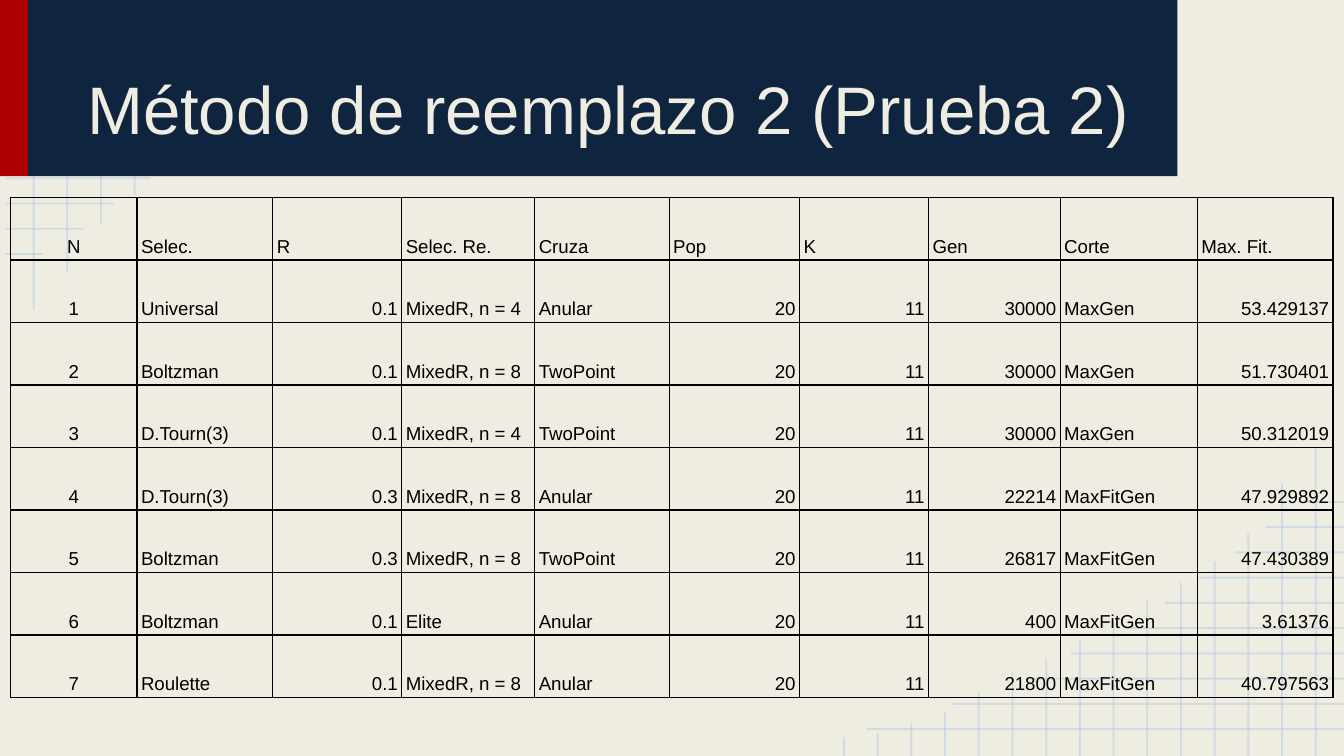
from lxml import etree
from pptx import Presentation
from pptx.dml.color import RGBColor
from pptx.enum.shapes import MSO_CONNECTOR, MSO_SHAPE
from pptx.enum.text import MSO_ANCHOR as Anchor, PP_ALIGN as Align
from pptx.oxml import parse_xml
from pptx.oxml.ns import nsdecls, qn
from pptx.util import Inches, Pt

CREAM = RGBColor(0xEF, 0xED, 0xE2)
GRID_BLUE = RGBColor(0xB7, 0xCC, 0xE4)
RED = RGBColor(0xAB, 0x01, 0x01)
NAVY = RGBColor(0x0F, 0x24, 0x3E)
BLACK = RGBColor(0x00, 0x00, 0x00)

SLIDE_WIDTH = 10
SLIDE_HEIGHT = SLIDE_WIDTH * 9 / 16
GRID_MARGIN = 0.04
ROW_ENDS = [3.59, 2.95, 2.41, 2.07, 1.67, 1.37, 1.12, 0.85, 0.62, 0.32]
COLUMN_ENDS = [2.3, 2.03, 1.66, 1.45, 1.29, 1.16, 0.99, 0.86,
               0.72, 0.62, 0.48, 0.33, 0.24, 0.17, 0.14]
ROW_GAP = 1.69 / (len(ROW_ENDS) - 1)
COLUMN_GAP = 3.51 / (len(COLUMN_ENDS) - 1)

COLUMN_WIDTHS = [0.94, 1.01, 0.96, 0.99, 1, 0.97, 0.96, 0.98, 1.02, 1.01]
TABLE_HEIGHT = 3.72
NUMBER_COLUMNS = {2, 5, 6, 7, 9}
RESULTS = [
    ["N", "Selec.", "R", "Selec. Re.", "Cruza", "Pop", "K", "Gen", "Corte", "Max. Fit."],
    ["1", "Universal", "0.1", "MixedR, n = 4", "Anular", "20", "11", "30000", "MaxGen", "53.429137"],
    ["2", "Boltzman", "0.1", "MixedR, n = 8", "TwoPoint", "20", "11", "30000", "MaxGen", "51.730401"],
    ["3", "D.Tourn(3)", "0.1", "MixedR, n = 4", "TwoPoint", "20", "11", "30000", "MaxGen", "50.312019"],
    ["4", "D.Tourn(3)", "0.3", "MixedR, n = 8", "Anular", "20", "11", "22214", "MaxFitGen", "47.929892"],
    ["5", "Boltzman", "0.3", "MixedR, n = 8", "TwoPoint", "20", "11", "26817", "MaxFitGen", "47.430389"],
    ["6", "Boltzman", "0.1", "Elite", "Anular", "20", "11", "400", "MaxFitGen", "3.61376"],
    ["7", "Roulette", "0.1", "MixedR, n = 8", "Anular", "20", "11", "21800", "MaxFitGen", "40.797563"],
]
CELL_FORMAT = {
    "vertical_anchor": Anchor.BOTTOM,
    "margin_left": Inches(0.03), "margin_right": Inches(0.03),
    "margin_top": Inches(0.02), "margin_bottom": Inches(0.02),
}
TITLE_FORMAT = {
    "word_wrap": True, "vertical_anchor": Anchor.BOTTOM,
    "margin_left": Inches(0.1), "margin_right": Inches(0.1),
    "margin_top": Inches(0.1), "margin_bottom": Inches(0.1),
}


def write_text(frame, text, size, color):
    paragraph = frame.paragraphs[0]
    run = paragraph.add_run()
    run.text = text
    run.font.name = "Arial"
    run.font.size = Pt(size)
    run.font.color.rgb = color
    return paragraph


def add_border(cell):
    """Draw a thin black line on all four sides of a table cell."""
    properties = cell._tc.get_or_add_tcPr()
    for index, side in enumerate(["lnL", "lnR", "lnT", "lnB"]):
        properties.insert(index, parse_xml(
            f'<a:{side} {nsdecls("a")} w="{Pt(0.75)}"><a:solidFill>'
            f'<a:srgbClr val="{BLACK}"/></a:solidFill></a:{side}>'))


presentation = Presentation()
presentation.slide_width = Inches(SLIDE_WIDTH)
presentation.slide_height = Inches(SLIDE_HEIGHT)
slide = presentation.slides.add_slide(presentation.slide_layouts[6])
slide.background.fill.solid()
slide.background.fill.fore_color.rgb = CREAM

# Corner grid at top left, then the same grid turned half round at bottom right
grid_lines = []
for index, end in enumerate(ROW_ENDS):
    y = 0.2 + index * ROW_GAP
    grid_lines.append((GRID_MARGIN, y, end, y))
for index, end in enumerate(COLUMN_ENDS):
    x = 0.25 + index * COLUMN_GAP
    grid_lines.append((x, end, x, 0))
turned_lines = [
    (SLIDE_WIDTH + GRID_MARGIN - x1, SLIDE_HEIGHT - y1,
     SLIDE_WIDTH + GRID_MARGIN - x2, SLIDE_HEIGHT - y2)
    for x1, y1, x2, y2 in grid_lines
]
for ends in grid_lines + turned_lines:
    connector = slide.shapes.add_connector(
        MSO_CONNECTOR.STRAIGHT, *[Inches(value) for value in ends])
    connector.line.color.rgb = GRID_BLUE
    connector.line.width = Pt(1)
    properties = connector._element.spPr
    color_element = properties.find(".//" + qn("a:srgbClr"))
    etree.SubElement(color_element, qn("a:alpha"), val="54000")
    etree.SubElement(properties, qn("a:effectLst"))

# Title band
for left, width, color in [(0, 0.21, RED), (0.21, 8.55, NAVY)]:
    band = slide.shapes.add_shape(
        MSO_SHAPE.RECTANGLE, Inches(left), Inches(-0.01), Inches(width), Inches(1.32))
    band.shadow.inherit = False
    band.fill.solid()
    band.fill.fore_color.rgb = color
    band.line.fill.background()

title = slide.shapes.add_textbox(Inches(0.55), Inches(0.09), Inches(8), Inches(1.11))
for name, value in TITLE_FORMAT.items():
    setattr(title.text_frame, name, value)
write_text(title.text_frame, "Método de reemplazo 2 (Prueba 2)", 36, CREAM)

# Results table
table = slide.shapes.add_table(
    len(RESULTS), len(COLUMN_WIDTHS), Inches(0.08), Inches(1.47),
    Inches(sum(COLUMN_WIDTHS)), Inches(TABLE_HEIGHT)).table
table.first_row = False
table.horz_banding = False
for column, width in zip(table.columns, COLUMN_WIDTHS):
    column.width = Inches(width)
for row_index, row in enumerate(RESULTS):
    for column_index, text in enumerate(row):
        cell = table.cell(row_index, column_index)
        for name, value in CELL_FORMAT.items():
            setattr(cell, name, value)
        cell.fill.background()
        add_border(cell)
        paragraph = write_text(cell.text_frame, text, 10, BLACK)
        paragraph.line_spacing = 1.15
        if column_index == 0:
            paragraph.alignment = Align.CENTER
        elif row_index > 0 and column_index in NUMBER_COLUMNS:
            paragraph.alignment = Align.RIGHT
        else:
            paragraph.alignment = Align.LEFT

presentation.save("out.pptx")
